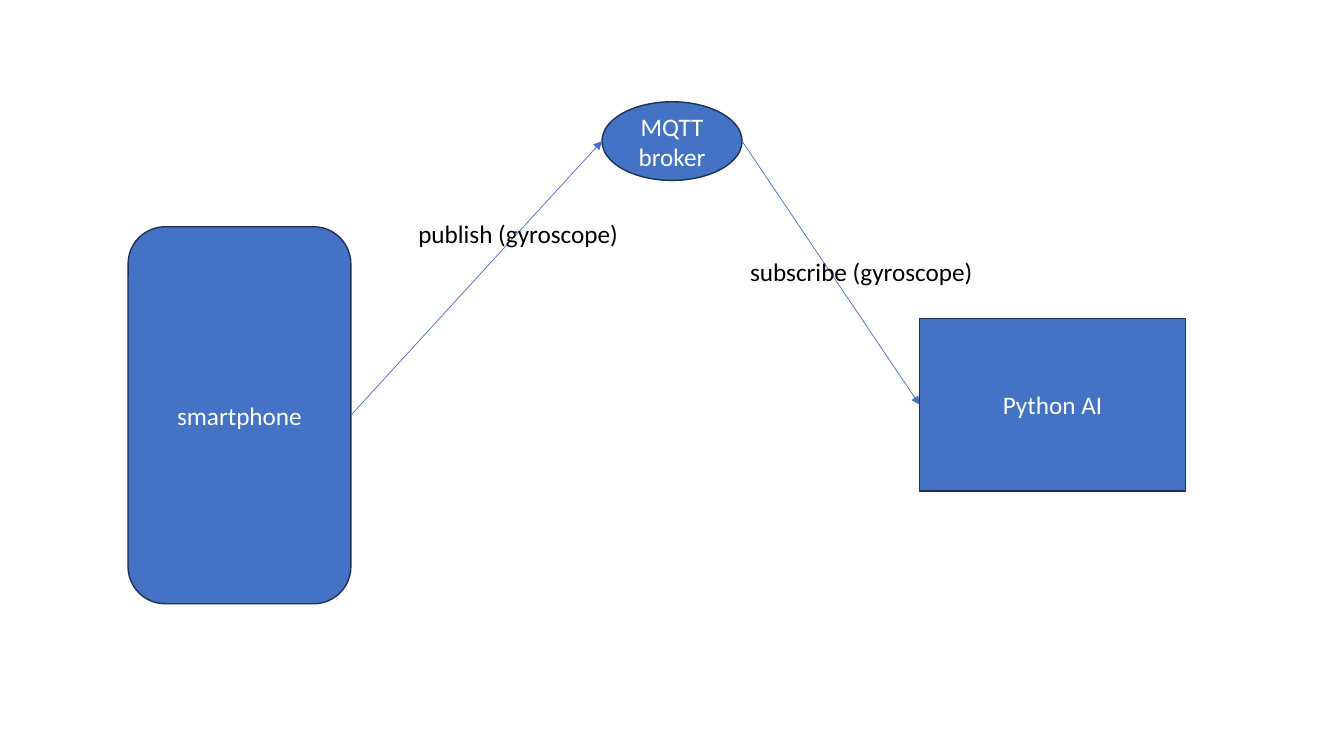
import pptx
import pptx.dml.color
import pptx.enum.shapes
import pptx.enum.text
import pptx.oxml
import pptx.oxml.ns
import pptx.util

BLUE = pptx.dml.color.RGBColor(0x44, 0x72, 0xC4)
NAVY = pptx.dml.color.RGBColor(0x1E, 0x32, 0x56)
WHITE = pptx.dml.color.RGBColor(0xFF, 0xFF, 0xFF)
BLACK = pptx.dml.color.RGBColor(0x00, 0x00, 0x00)

EMU_PER_PX = 9144
SHAPES = pptx.enum.shapes.MSO_SHAPE


def px(*lengths):
    return [pptx.util.Emu(length * EMU_PER_PX) for length in lengths]


def left_middle(shape):
    return shape.left, shape.top + shape.height // 2


def right_middle(shape):
    return shape.left + shape.width, shape.top + shape.height // 2


class DiagramBuilder:
    font_name = "Calibri"
    font_size = 18

    def __init__(self, slide):
        self.slide = slide

    def add_text(self, paragraph, text, color):
        run = paragraph.add_run()
        run.text = text
        run.font.name = self.font_name
        run.font.size = pptx.util.Pt(self.font_size)
        run.font.color.rgb = color

    def node(self, kind, text, left, top, width, height):
        shape = self.slide.shapes.add_shape(kind, *px(left, top, width, height))
        shape.shadow.inherit = False
        shape.fill.solid()
        shape.fill.fore_color.rgb = BLUE
        shape.line.color.rgb = NAVY
        shape.line.width = pptx.util.Pt(1)
        frame = shape.text_frame
        frame.word_wrap = True
        frame.vertical_anchor = pptx.enum.text.MSO_ANCHOR.MIDDLE
        paragraph = frame.paragraphs[0]
        paragraph.alignment = pptx.enum.text.PP_ALIGN.CENTER
        self.add_text(paragraph, text, WHITE)
        return shape

    def arrow(self, source, target):
        connector = self.slide.shapes.add_connector(
            pptx.enum.shapes.MSO_CONNECTOR.STRAIGHT,
            *right_middle(source),
            *left_middle(target),
        )
        connector.line.color.rgb = BLUE
        connector.line.width = pptx.util.Pt(0.5)
        namespace = pptx.oxml.ns.nsdecls("a")
        properties = connector.element.spPr
        properties.get_or_add_ln().append(
            pptx.oxml.parse_xml(f'<a:tailEnd {namespace} type="triangle"/>')
        )
        properties.append(pptx.oxml.parse_xml(f"<a:effectLst {namespace}/>"))

    def label(self, text, left, top, width, height):
        box = self.slide.shapes.add_textbox(*px(left, top, width, height))
        frame = box.text_frame
        frame.word_wrap = True
        frame.auto_size = pptx.enum.text.MSO_AUTO_SIZE.SHAPE_TO_FIT_TEXT
        self.add_text(frame.paragraphs[0], text, BLACK)


def main():
    presentation = pptx.Presentation()
    presentation.slide_width, presentation.slide_height = px(1333, 750)
    slide = presentation.slides.add_slide(presentation.slide_layouts[6])
    diagram = DiagramBuilder(slide)

    smartphone = diagram.node(
        SHAPES.ROUNDED_RECTANGLE, "smartphone", 127, 225, 221, 374
    )
    python_ai = diagram.node(SHAPES.RECTANGLE, "Python AI", 912, 316, 264, 171)
    broker = diagram.node(SHAPES.OVAL, "MQTT broker", 597, 101, 139, 78)

    diagram.arrow(smartphone, broker)
    diagram.arrow(broker, python_ai)

    diagram.label("publish (gyroscope)", 405, 212, 248, 40)
    diagram.label("subscribe (gyroscope)", 734, 249, 248, 40)

    presentation.save("out.pptx")


if __name__ == "__main__":
    main()
